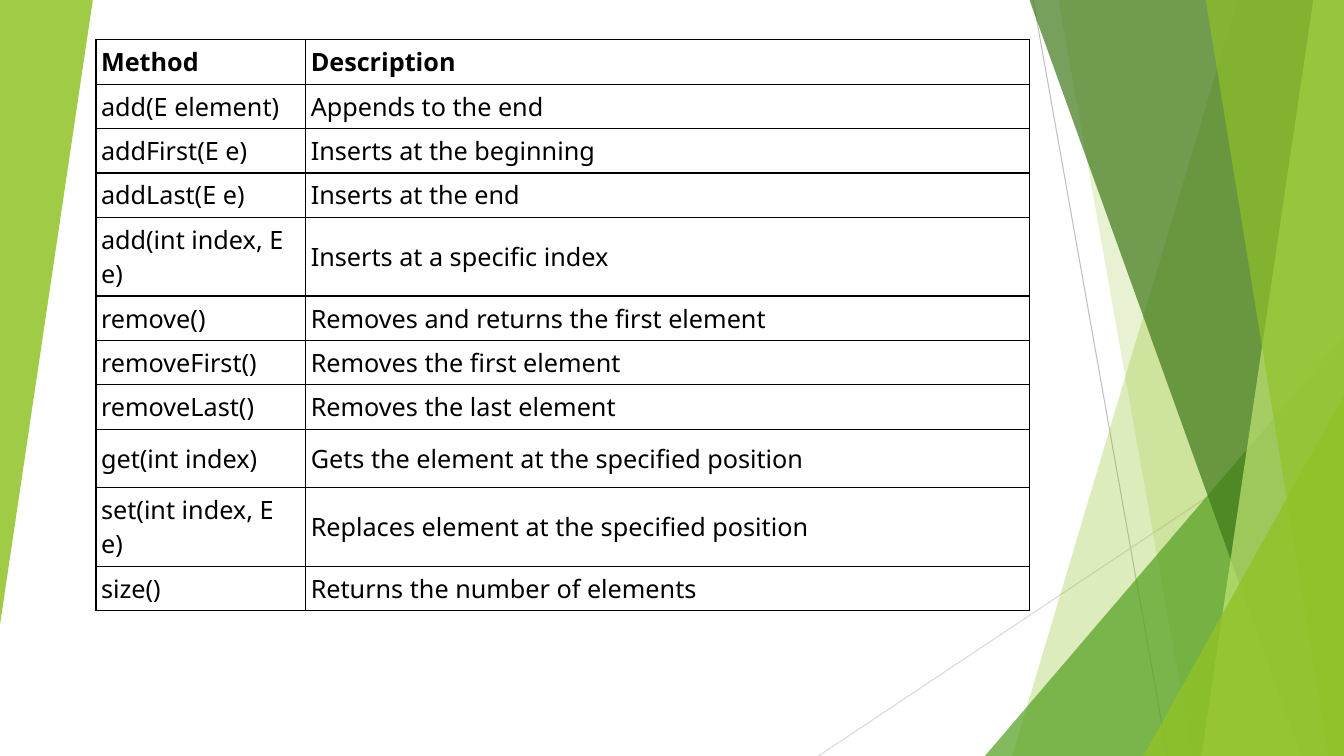
from lxml.etree import SubElement
from pptx import Presentation
from pptx.dml.color import RGBColor
from pptx.enum.shapes import MSO_CONNECTOR, MSO_SHAPE
from pptx.enum.text import MSO_ANCHOR
from pptx.oxml.ns import qn
from pptx.util import Pt

WIDTH, HEIGHT = 960, 540
LIME = "90C226"
METHODS = [
    ("Method", "Description"),
    ("add(E element)", "Appends to the end"),
    ("addFirst(E e)", "Inserts at the beginning"),
    ("addLast(E e)", "Inserts at the end"),
    ("add(int index, E e)", "Inserts at a specific index"),
    ("remove()", "Removes and returns the first element"),
    ("removeFirst()", "Removes the first element"),
    ("removeLast()", "Removes the last element"),
    ("get(int index)", "Gets the element at the specified position"),
    ("set(int index, E e)", "Replaces element at the specified position"),
    ("size()", "Returns the number of elements"),
]
TALL_ROWS = (8, 9)


def color(value):
    """Turn a hex string into a colour."""
    return RGBColor.from_string(value)


def paint(shape, fill, opacity):
    """Give a shape a see-through fill and no outline or shadow."""
    shape.shadow.inherit = False
    shape.line.fill.background()
    shape.fill.solid()
    shape.fill.fore_color.rgb = color(fill)
    tint = shape.fill._xPr.find(qn("a:solidFill"))[0]
    SubElement(tint, qn("a:alpha"), val=str(opacity * 1000))


def add_line(page, start, end, stroke):
    """Draw a thin straight line."""
    points = [Pt(value) for value in (*start, *end)]
    line = page.shapes.add_connector(MSO_CONNECTOR.STRAIGHT, *points)
    line.line.color.rgb = color(stroke)
    line.line.width = Pt(0.75)
    SubElement(line._element.spPr, qn("a:effectLst"))


def add_facet(page, top_x, bottom_x, fill, opacity):
    """Draw a slanted panel that reaches the right edge of the slide."""
    top = Pt(-0.6)
    builder = page.shapes.build_freeform(Pt(top_x), top)
    builder.add_line_segments([
        (Pt(WIDTH), top), (Pt(WIDTH), Pt(HEIGHT)), (Pt(bottom_x), Pt(HEIGHT))])
    paint(builder.convert_to_shape(), fill, opacity)


def add_corner(page, left, top, width, height, fill, opacity, rotation=0):
    """Draw a right-angled triangle with its apex at the right."""
    corner = page.shapes.add_shape(
        MSO_SHAPE.ISOSCELES_TRIANGLE, Pt(left), Pt(top), Pt(width), Pt(height))
    corner.adjustments[0] = 1
    corner.rotation = rotation
    paint(corner, fill, opacity)


def add_borders(cell):
    """Rule all four sides of a cell in black."""
    properties = cell._tc.get_or_add_tcPr()
    for side in "LRTB":
        border = SubElement(properties, qn(f"a:ln{side}"), w=str(Pt(1)))
        fill = SubElement(border, qn("a:solidFill"))
        SubElement(fill, qn("a:srgbClr"), val="000000")


def fill_cell(cell, text, bold):
    """Write and format one table cell."""
    add_borders(cell)
    cell.fill.background()
    cell.vertical_anchor = MSO_ANCHOR.MIDDLE
    cell.margin_left = cell.margin_right = Pt(3.6)
    cell.margin_top = cell.margin_bottom = Pt(3.6)
    cell.text_frame.text = text
    font = cell.text_frame.paragraphs[0].runs[0].font
    font.name = "Noto Sans"
    font.size = Pt(18)
    font.bold = bold
    font.color.rgb = color("000000")


def add_method_table(page):
    """Add the table of methods and descriptions."""
    frame = page.shapes.add_table(
        len(METHODS), 2, Pt(68.6), Pt(28.4), Pt(667), Pt(376.6))
    table = frame.table
    table.first_row = table.horz_banding = False
    for column, width in zip(table.columns, (149.8, 517.2)):
        column.width = Pt(width)
    for index, texts in enumerate(METHODS):
        table.rows[index].height = Pt(41.6 if index in TALL_ROWS else 24.5)
        for cell, text in zip(table.rows[index].cells, texts):
            fill_cell(cell, text, bold=index == 0)


def main():
    """Build the slide and save it."""
    deck = Presentation()
    deck.slide_width, deck.slide_height = Pt(WIDTH), Pt(HEIGHT)
    page = deck.slides.add_slide(deck.slide_layouts[6])
    add_line(page, (738, 0), (834, HEIGHT), "BFBFBF")
    add_line(page, (WIDTH, 290), (584.6, HEIGHT), "D9D9D9")
    add_facet(page, 884.2, 723, LIME, 30)
    add_facet(page, 756, 851.8, LIME, 20)
    add_corner(page, 703.5, 240, 256.5, 300, "54A021", 72)
    add_facet(page, 735.2, 929.6, "3F7819", 70)
    add_facet(page, 938.2, 858.2, "C0E474", 70)
    add_facet(page, 861.2, 949, LIME, 65)
    add_corner(page, 816.7, 282.8, 143.3, 257.2, LIME, 80)
    add_corner(page, 0, 0, 66.3, 446.2, LIME, 85, rotation=180)
    add_method_table(page)
    deck.save("out.pptx")


if __name__ == "__main__":
    main()
